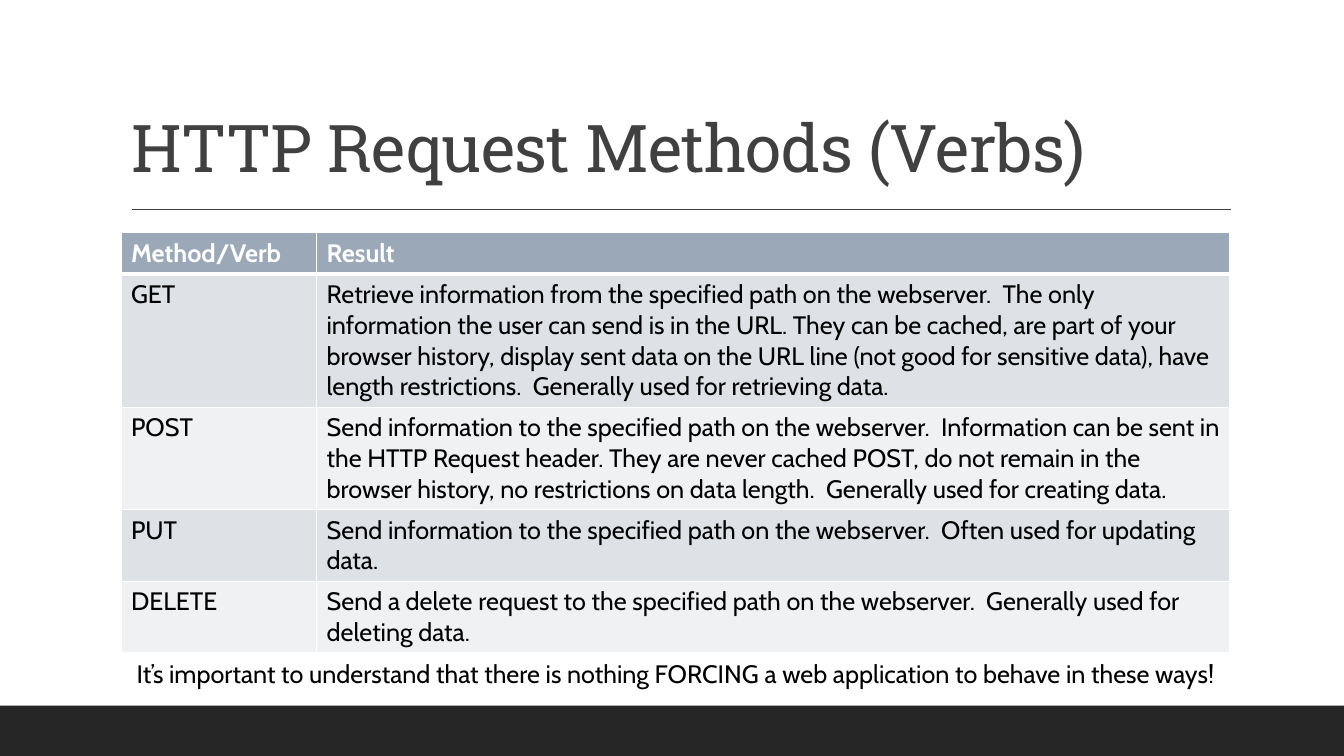
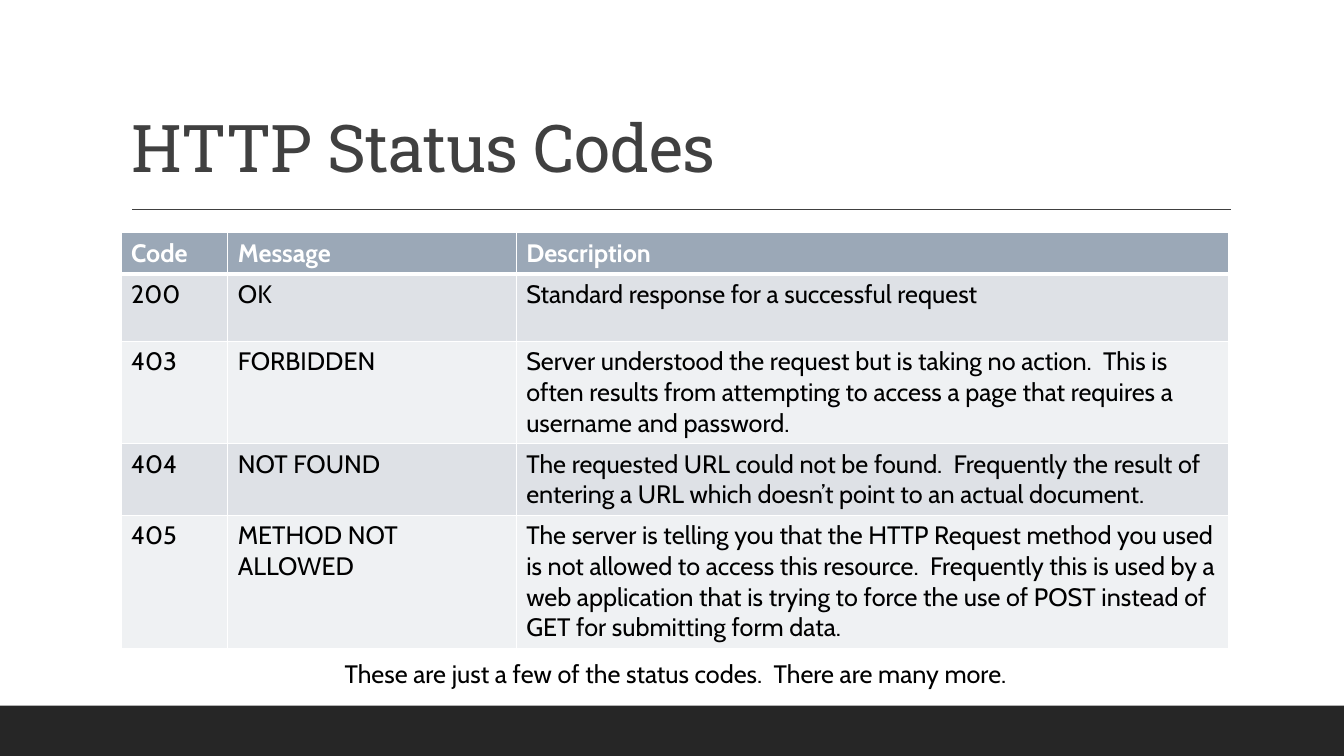
"""Build two slides of tables on HTTP methods and status codes."""
import pptx
import pptx.util
import pptx.dml.color
import pptx.enum.shapes
import pptx.enum.text
import pptx.oxml
import lxml.etree
from pptx.oxml import ns

Inches = pptx.util.Inches
Pt = pptx.util.Pt
Align = pptx.enum.text.PP_ALIGN

HUES = {
    "band": "262626",
    "title": "404040",
    "text": "000000",
    "white": "FFFFFF",
    "head": "9BA8B7",
    "odd": "DEE1E6",
    "even": "EFF1F3",
}


def hue(name):
    return pptx.dml.color.RGBColor.from_string(HUES[name])


class Deck:
    left, width = 1.2, 11

    def __init__(self):
        self.prs = pptx.Presentation()
        self.prs.slide_width = Inches(13.33)
        self.prs.slide_height = Inches(7.5)

    def start(self, title):
        self.slide = self.prs.slides.add_slide(self.prs.slide_layouts[5])
        self.band()
        self.rule()
        self.title(title)

    def band(self):
        band = self.slide.shapes.add_shape(
            pptx.enum.shapes.MSO_SHAPE.RECTANGLE,
            0, Inches(7), self.prs.slide_width, Inches(0.5))
        band.shadow.inherit = False
        band.fill.solid()
        band.fill.fore_color.rgb = hue("band")
        band.line.fill.background()

    def rule(self):
        rule = self.slide.shapes.add_connector(
            pptx.enum.shapes.MSO_CONNECTOR.STRAIGHT,
            Inches(1.31), Inches(2.08), Inches(12.21), Inches(2.08))
        rule.line.color.rgb = hue("title")
        rule.line.width = Pt(1)
        lxml.etree.SubElement(rule._element.spPr, ns.qn("a:effectLst"))

    def style(self, para, color, size=18, face="Cabin", bold=False):
        para.font.name = face
        para.font.size = Pt(size)
        para.font.bold = bold
        para.font.color.rgb = hue(color)

    def title(self, text):
        box = self.slide.shapes.title
        box.left, box.top = Inches(self.left), Inches(0.31)
        box.width, box.height = Inches(self.width), Inches(1.59)
        frame = box.text_frame
        frame.text = text
        frame.auto_size = pptx.enum.text.MSO_AUTO_SIZE.NONE
        frame.vertical_anchor = pptx.enum.text.MSO_ANCHOR.BOTTOM
        para = frame.paragraphs[0]
        para.alignment = Align.LEFT
        para.line_spacing = 0.9
        self.style(para, "title", 47, "Roboto Slab")
        para.runs[0].font._element.set("spc", "-50")

    def edges(self, cell, top, base):
        props = cell._tc.get_or_add_tcPr()
        for side, size in zip("LRTB", (1, 1, top, base)):
            props.append(pptx.oxml.parse_xml(
                f'<a:ln{side} {ns.nsdecls("a")} w="{Pt(size)}"><a:solidFill>'
                f'<a:srgbClr val="{HUES["white"]}"/></a:solidFill></a:ln{side}>'))

    def cell(self, cell, text, row):
        self.edges(cell, 3 if row == 1 else 1, 3 if row == 0 else 1)
        cell.fill.solid()
        fill = "head" if row == 0 else "odd" if row % 2 else "even"
        cell.fill.fore_color.rgb = hue(fill)
        cell.text = text
        self.style(cell.text_frame.paragraphs[0],
                   "text" if row else "white", bold=row == 0)

    def table(self, rows, widths, heights):
        grid = self.slide.shapes.add_table(
            len(rows), len(widths), Inches(self.left), Inches(2.31),
            Inches(self.width), Inches(sum(heights))).table
        for col, width in zip(grid.columns, widths):
            col.width = Inches(width)
        for row, height in zip(grid.rows, heights):
            row.height = Inches(height)
        for y, row in enumerate(rows):
            for x, text in enumerate(row):
                self.cell(grid.cell(y, x), text, y)

    def note(self, text):
        box = self.slide.shapes.add_textbox(
            Inches(self.left), Inches(6.48), Inches(self.width), Inches(0.4))
        frame = box.text_frame
        frame.word_wrap = True
        frame.text = text
        para = frame.paragraphs[0]
        para.alignment = Align.CENTER
        self.style(para, "text")


VERBS = [
    ("Method/Verb", "Result"),
    ("GET",
     "Retrieve information from the specified path on the webserver.  "
     "The only information the user can send is in the URL. They can be "
     "cached, are part of your browser history, display sent data on the "
     "URL line (not good for sensitive data), have length restrictions.  "
     "Generally used for retrieving data."),
    ("POST",
     "Send information to the specified path on the webserver.  "
     "Information can be sent in the HTTP Request header. They are never "
     "cached POST, do not remain in the browser history, no restrictions "
     "on data length.  Generally used for creating data."),
    ("PUT",
     "Send information to the specified path on the webserver.  "
     "Often used for updating data."),
    ("DELETE",
     "Send a delete request to the specified path on the webserver.  "
     "Generally used for deleting data."),
]

CODES = [
    ("Code", "Message", "Description"),
    ("200", "OK", "Standard response for a successful request"),
    ("403", "FORBIDDEN",
     "Server understood the request but is taking no action.  This is "
     "often results from attempting to access a page that requires a "
     "username and password."),
    ("404", "NOT FOUND",
     "The requested URL could not be found.  Frequently the result of "
     "entering a URL which doesn’t point to an actual document."),
    ("405", "METHOD NOT ALLOWED",
     "The server is telling you that the HTTP Request method you used is "
     "not allowed to access this resource.  Frequently this is used by a "
     "web application that is trying to force the use of POST instead of "
     "GET for submitting form data."),
]


def main():
    deck = Deck()
    deck.start("HTTP Request Methods (Verbs)")
    deck.table(VERBS, (1.94, 9.06), [0.41] * len(VERBS))
    deck.note("It’s important to understand that there is nothing FORCING "
              "a web application to behave in these ways!")
    deck.start("HTTP Status Codes")
    deck.table(CODES, (1.06, 2.86, 7.07), (0.22, 0.67, 0.83, 0.39, 0.55))
    deck.note("These are just a few of the status codes.  "
              "There are many more.")
    deck.prs.save("out.pptx")


if __name__ == "__main__":
    main()
